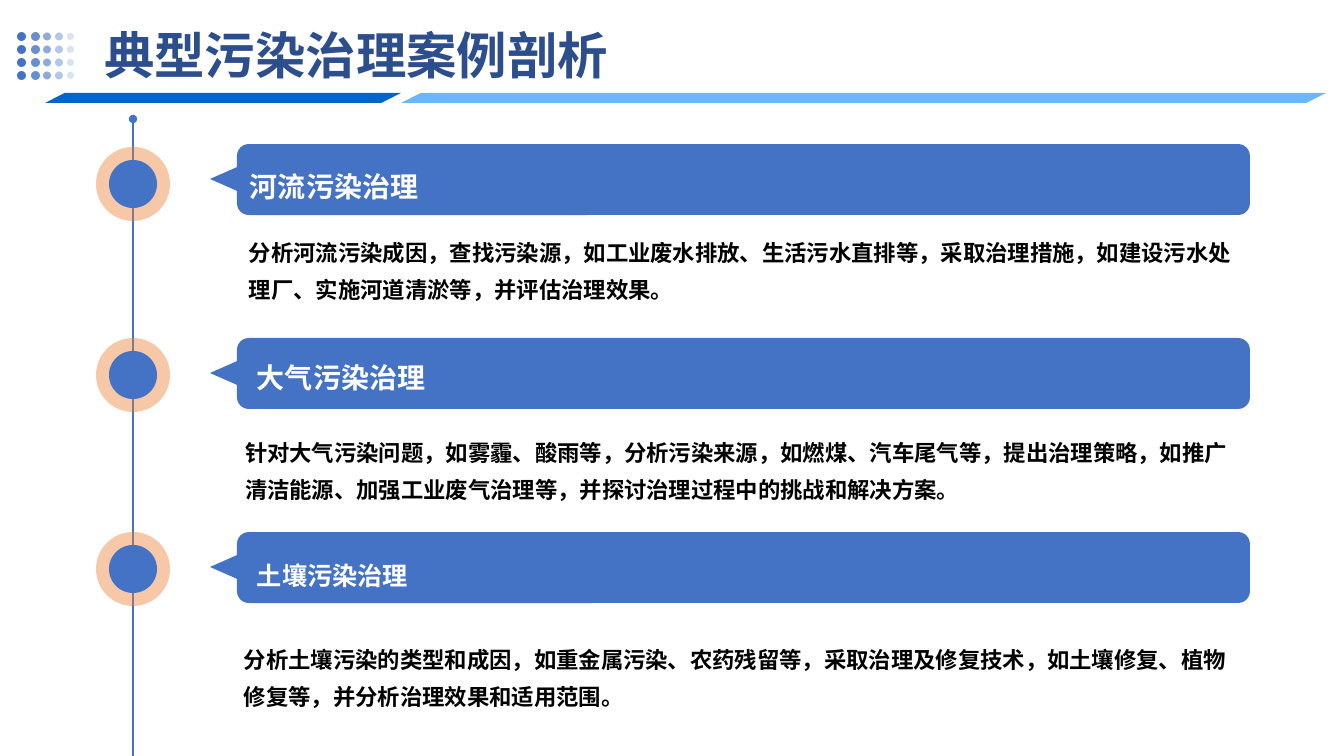
import pptx
import pptx.util
import pptx.dml.color
import pptx.enum.lang
import pptx.enum.shapes
import pptx.enum.text
import pptx.oxml

RGBColor = pptx.dml.color.RGBColor
BLUE = RGBColor(0x44, 0x72, 0xC4)
ORANGE = RGBColor(0xED, 0x7D, 0x31)
NAVY = RGBColor(0x2C, 0x4E, 0x8C)
DEEP_BLUE = RGBColor(0x00, 0x66, 0xCC)
LIGHT_BLUE = RGBColor(0x69, 0xB8, 0xFF)
WHITE = RGBColor(0xFF, 0xFF, 0xFF)
BLACK = RGBColor(0x00, 0x00, 0x00)

SHAPE = pptx.enum.shapes.MSO_SHAPE
ANCHOR = pptx.enum.text.MSO_ANCHOR
CJK_FONT = "Noto Sans CJK SC"
A_NS = 'xmlns:a="http://schemas.openxmlformats.org/drawingml/2006/main"'

ROW_TOP, ROW_PITCH = 144, 194
AXIS_X = 133

CASES = [
    dict(title="河流污染治理", font="Arial", size=20,
         title_box=(250, 3, 966, 61), text_box=(249, 84, 989, 85), halo_dy=3,
         text="分析河流污染成因，查找污染源，如工业废水排放、生活污水直排等，"
              "采取治理措施，如建设污水处理厂、实施河道清淤等，并评估治理效果。"),
    dict(title="大气污染治理", font="Arial", size=20,
         title_box=(257, 0, 966, 61), text_box=(245, 90, 989, 85), halo_dy=0,
         text="针对大气污染问题，如雾霾、酸雨等，分析污染来源，如燃煤、汽车尾气等，"
              "提出治理策略，如推广清洁能源、加强工业废气治理等，"
              "并探讨治理过程中的挑战和解决方案。"),
    dict(title="土壤污染治理", font=CJK_FONT, size=18,
         title_box=(257, 0, 966, 71), text_box=(244, 103, 989, 85), halo_dy=0,
         text="分析土壤污染的类型和成因，如重金属污染、农药残留等，"
              "采取治理及修复技术，如土壤修复、植物修复等，并分析治理效果和适用范围。"),
]


def px(n):
    """Turn pixels into EMU."""
    return pptx.util.Emu(round(n * 914400 / 100.8))


def add_filled(slide, kind, x, y, w, h, color, alpha=100):
    """Add a borderless preset shape with an opacity in percent."""
    sp = slide.shapes.add_shape(kind, px(x), px(y), px(w), px(h))
    sp.shadow.inherit = False
    sp.line.fill.background()
    sp.fill.solid()
    sp.fill.fore_color.rgb = color
    if alpha < 100:
        clr = sp.fill._xPr.find(".//" + pptx.oxml.ns.qn("a:srgbClr"))
        clr.append(pptx.oxml.parse_xml(f'<a:alpha {A_NS} val="{alpha * 1000}"/>'))
    return sp


def set_text(tf, text, size, color, font="Arial", spacing=1.0):
    """Write one bold run into a text frame."""
    tf.word_wrap = True
    p = tf.paragraphs[0]
    p.alignment = pptx.enum.text.PP_ALIGN.LEFT
    p.line_spacing = spacing
    r = p.add_run()
    r.text = text
    r.font.size = pptx.util.Pt(size)
    r.font.bold = True
    r.font.color.rgb = color
    r.font.name = font
    r.font.language_id = pptx.enum.lang.MSO_LANGUAGE_ID.SIMPLIFIED_CHINESE
    latin = r.font._element.find(pptx.oxml.ns.qn("a:latin"))
    latin.addnext(pptx.oxml.parse_xml(f'<a:ea {A_NS} typeface="{CJK_FONT}"/>'))


def add_label(slide, box, anchor, *args, **kwargs):
    """Add a text box without insets."""
    tf = slide.shapes.add_textbox(*map(px, box)).text_frame
    tf.margin_left = tf.margin_top = tf.margin_right = tf.margin_bottom = 0
    tf.vertical_anchor = anchor
    set_text(tf, *args, **kwargs)


def add_header(slide, x, y):
    """Place the title, the fading dot grid and the two slanted bars."""
    title = slide.shapes.title
    title.left, title.top, title.width, title.height = map(px, (x + 77, y - 13, 1195, 72))
    title.text_frame.auto_size = pptx.enum.text.MSO_AUTO_SIZE.NONE
    title.text_frame.vertical_anchor = ANCHOR.TOP
    set_text(title.text_frame, "典型污染治理案例剖析", 36, NAVY)
    columns = [(0, 9, 100), (14, 9, 80), (26, 8, 60), (38, 8, 40), (50, 7, 20)]
    for row in range(4):
        for dx, size, alpha in columns:
            dy = 13 * row + (9 - size) / 2
            add_filled(slide, SHAPE.OVAL, x + dx, y + dy, size, size, BLUE, alpha)
    for dx, width, color in [(28, 356, DEEP_BLUE), (384, 925, LIGHT_BLUE)]:
        bar = add_filled(slide, SHAPE.PARALLELOGRAM, x + dx, y + 61, width, 10, color)
        bar.adjustments[0] = 1.97


def add_axis(slide, x, top, bottom):
    """Draw the vertical timeline with a round start."""
    line = slide.shapes.add_connector(
        pptx.enum.shapes.MSO_CONNECTOR.STRAIGHT, px(x), px(top), px(x), px(bottom))
    line.line.color.rgb = BLUE
    line.line.width = pptx.util.Pt(1.5)
    line.line._get_or_add_ln().append(
        pptx.oxml.parse_xml(f'<a:headEnd {A_NS} type="oval"/>'))
    line._element.spPr.append(pptx.oxml.parse_xml(f'<a:effectLst {A_NS}/>'))


def add_case(slide, top, case):
    """Place one case: timeline marker, callout bar, heading and text."""
    for size, color, alpha in [(74, ORANGE, 42), (48, BLUE, 100)]:
        y = top + case["halo_dy"] + (74 - size) / 2
        add_filled(slide, SHAPE.OVAL, AXIS_X - size / 2, y, size, size, color, alpha)
    add_filled(slide, SHAPE.ROUNDED_RECTANGLE, 237, top, 1013, 71, BLUE)
    pointer = add_filled(slide, SHAPE.ISOSCELES_TRIANGLE, 212, top + 18, 30, 34, BLUE)
    pointer.rotation = 270
    x, dy, w, h = case["title_box"]
    add_label(slide, (x, top + dy, w, h), ANCHOR.MIDDLE,
              case["title"], case["size"], WHITE, case["font"], spacing=1.5)
    x, dy, w, h = case["text_box"]
    add_label(slide, (x, top + dy, w, h), ANCHOR.TOP,
              case["text"], 16, BLACK, spacing=1.4)


def main():
    """Build and save the slide."""
    prs = pptx.Presentation()
    prs.slide_width, prs.slide_height = px(1344), px(756)
    slide = prs.slides.add_slide(prs.slide_layouts[5])
    add_header(slide, 17, 32)
    add_axis(slide, AXIS_X, 119, 756)
    for i, case in enumerate(CASES):
        add_case(slide, ROW_TOP + i * ROW_PITCH, case)
    prs.save("out.pptx")


if __name__ == "__main__":
    main()
